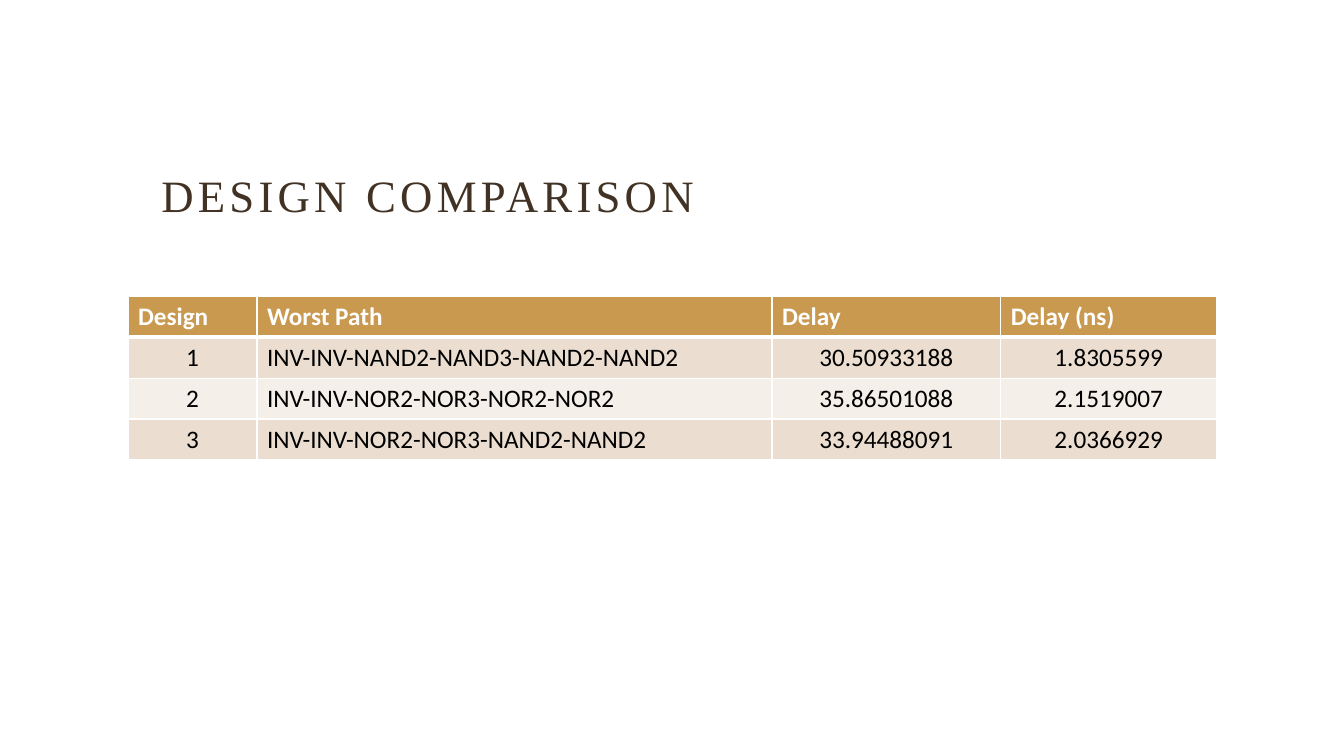
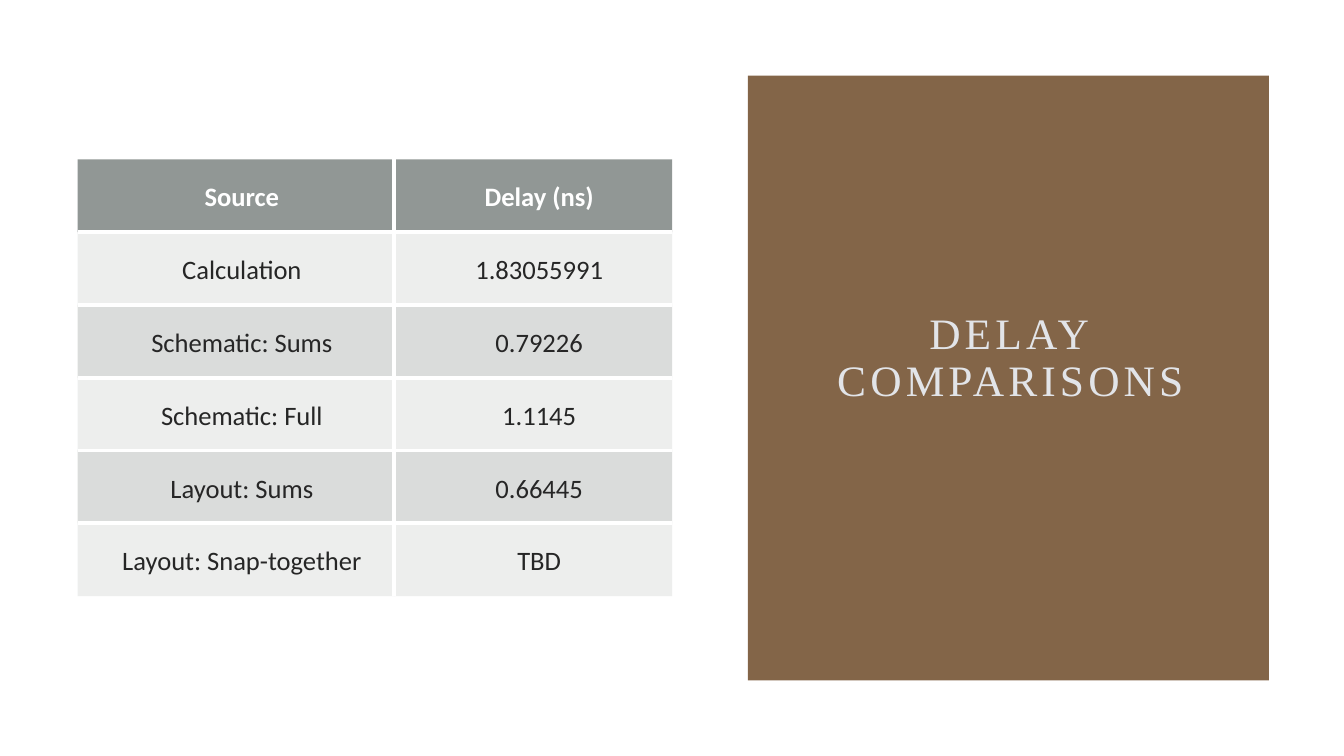
from dataclasses import dataclass

import lxml.etree
import pptx
import pptx.dml.color
import pptx.enum.shapes
import pptx.enum.text
import pptx.oxml.ns
import pptx.util

Pt = pptx.util.Pt
Align = pptx.enum.text.PP_ALIGN
Anchor = pptx.enum.text.MSO_ANCHOR

TITLE_FONT = "Times New Roman"
BODY_FONT = "Calibri"
WHITE = "FFFFFF"
BROWN = "836548"


@dataclass(frozen=True)
class Box:
    left: float
    top: float
    width: float
    height: float

    def lengths(self) -> tuple:
        return Pt(self.left), Pt(self.top), Pt(self.width), Pt(self.height)


@dataclass(frozen=True)
class Fill:
    color: str
    opacity: int = 100


@dataclass(frozen=True)
class Column:
    width: float
    align: Align
    header_align: Align
    anchor: Anchor
    header_anchor: Anchor
    insets: tuple
    header_insets: tuple


@dataclass(frozen=True)
class TableStyle:
    text_size: float
    text_color: str
    header_fill: Fill
    band_fills: tuple
    grid_width: float
    header_rule_width: float
    outer_width: float


def rgb(color: str) -> pptx.dml.color.RGBColor:
    return pptx.dml.color.RGBColor.from_string(color)


def write_text(frame, text: str, *, size: float, color: str, font: str = BODY_FONT,
               bold: bool = False, align: Align = Align.LEFT,
               line_spacing: float = 1.0, tracking: float = 0) -> None:
    paragraph = frame.paragraphs[0]
    paragraph.alignment = align
    paragraph.line_spacing = line_spacing
    paragraph.space_before = Pt(0)
    run = paragraph.add_run()
    run.text = text
    run.font.name = font
    run.font.size = Pt(size)
    run.font.bold = bold
    run.font.color.rgb = rgb(color)
    if tracking:
        run.font._element.set("spc", str(int(tracking * 100)))


def set_insets(target, insets: tuple) -> None:
    """Set the margins of a cell or text frame: left, top, right, bottom."""
    (target.margin_left, target.margin_top,
     target.margin_right, target.margin_bottom) = map(Pt, insets)


def add_title_slide(deck, title: str, box: Box, *, size: float, color: str,
                    align: Align = Align.LEFT, insets: tuple = (7.2, 3.6, 7.2, 3.6)):
    slide = deck.slides.add_slide(deck.slide_layouts[5])
    heading = slide.shapes.title
    heading.left, heading.top, heading.width, heading.height = box.lengths()
    frame = heading.text_frame
    frame.word_wrap = True
    frame.auto_size = pptx.enum.text.MSO_AUTO_SIZE.NONE
    frame.vertical_anchor = Anchor.BOTTOM
    set_insets(frame, insets)
    write_text(frame, title, size=size, color=color, font=TITLE_FONT, align=align,
               line_spacing=0.9, tracking=3)
    return slide


def add_back_panel(slide, box: Box, color: str) -> None:
    """Add a plain rectangle behind everything else on the slide."""
    panel = slide.shapes.add_shape(pptx.enum.shapes.MSO_SHAPE.RECTANGLE, *box.lengths())
    panel.shadow.inherit = False
    panel.fill.solid()
    panel.fill.fore_color.rgb = rgb(color)
    panel.line.fill.background()
    slide.shapes._spTree.insert(2, panel._element)


def fill_cell(cell, fill: Fill) -> None:
    cell.fill.solid()
    cell.fill.fore_color.rgb = rgb(fill.color)
    if fill.opacity < 100:
        tint = cell._tc.tcPr.find(".//" + pptx.oxml.ns.qn("a:srgbClr"))
        lxml.etree.SubElement(tint, pptx.oxml.ns.qn("a:alpha"), val=str(fill.opacity * 1000))


def set_borders(cell, widths: tuple) -> None:
    """Draw white borders: left, right, top, bottom; width 0 means no line."""
    properties = cell._tc.get_or_add_tcPr()
    for position, (edge, width) in enumerate(zip("LRTB", widths)):
        line = lxml.etree.Element(pptx.oxml.ns.qn(f"a:ln{edge}"), w=str(int(Pt(width))))
        if width:
            paint = lxml.etree.SubElement(line, pptx.oxml.ns.qn("a:solidFill"))
            lxml.etree.SubElement(paint, pptx.oxml.ns.qn("a:srgbClr"), val=WHITE)
        else:
            lxml.etree.SubElement(line, pptx.oxml.ns.qn("a:noFill"))
        properties.insert(position, line)


def add_data_table(slide, left: float, top: float, row_height: float,
                   columns: list, rows: list, style: TableStyle) -> None:
    box = Box(left, top, sum(column.width for column in columns), row_height * len(rows))
    table = slide.shapes.add_table(len(rows), len(columns), *box.lengths()).table
    for row in table.rows:
        row.height = Pt(row_height)

    row_rules = [style.outer_width, style.header_rule_width,
                 *[style.grid_width] * (len(rows) - 2), style.outer_width]
    column_rules = [style.outer_width, *[style.grid_width] * (len(columns) - 1),
                    style.outer_width]
    for c, column in enumerate(columns):
        table.columns[c].width = Pt(column.width)
        for r, values in enumerate(rows):
            header = r == 0
            cell = table.cell(r, c)
            cell.vertical_anchor = column.header_anchor if header else column.anchor
            set_insets(cell, column.header_insets if header else column.insets)
            fill_cell(cell, style.header_fill if header else style.band_fills[(r - 1) % 2])
            set_borders(cell, (*column_rules[c:c + 2], *row_rules[r:r + 2]))
            write_text(cell.text_frame, values[c], size=style.text_size, bold=header,
                       color=WHITE if header else style.text_color,
                       align=column.header_align if header else column.align)


def add_design_comparison(deck) -> None:
    slide = add_title_slide(deck, "DESIGN COMPARISON", Box(108, 54, 747.4, 108),
                            size=32, color="413224")
    normal, tight = (7.2, 3.6, 7.2, 3.6), (0.7, 0.7, 0.7, 0)

    def label(width: float, align: Align) -> Column:
        return Column(width, align, Align.LEFT, Anchor.TOP, Anchor.TOP, normal, normal)

    def figure(width: float) -> Column:
        return Column(width, Align.CENTER, Align.LEFT, Anchor.MIDDLE, Anchor.TOP,
                      tight, normal)

    add_data_table(
        slide, 91.4, 211.7, 29.2,
        [label(92.2, Align.CENTER), label(367.9, Align.LEFT), figure(163.4), figure(154.1)],
        [("Design", "Worst Path", "Delay", "Delay (ns)"),
         ("1", "INV-INV-NAND2-NAND3-NAND2-NAND2", "30.50933188", "1.8305599"),
         ("2", "INV-INV-NOR2-NOR3-NOR2-NOR2", "35.86501088", "2.1519007"),
         ("3", "INV-INV-NOR2-NOR3-NAND2-NAND2", "33.94488091", "2.0366929")],
        TableStyle(18, "000000", Fill("C9994F"), (Fill("EBDED0"), Fill("F5EFE9")),
                   grid_width=1, header_rule_width=3, outer_width=1))


def add_delay_comparisons(deck) -> None:
    slide = add_title_slide(deck, "DELAY COMPARISONS", Box(588.2, 108, 267.1, 185.8),
                            size=31, color="E2E4E8", align=Align.CENTER,
                            insets=(3.6, 3.6, 3.6, 3.6))
    add_back_panel(slide, Box(534.2, 54, 372.2, 432), BROWN)
    roomy = (21.6, 13, 13, 13)
    columns = [Column(width, Align.CENTER, Align.CENTER, Anchor.BOTTOM, Anchor.BOTTOM,
                      roomy, roomy) for width in (226.1, 198.7)]
    add_data_table(
        slide, 55.4, 113.8, 52, columns,
        [("Source", "Delay (ns)"),
         ("Calculation", "1.83055991"),
         ("Schematic: Sums", "0.79226"),
         ("Schematic: Full", "1.1145"),
         ("Layout: Sums", "0.66445"),
         ("Layout: Snap-together", "TBD")],
        TableStyle(19, "262626", Fill("636B68", 70),
                   (Fill("878E8B", 15), Fill("878E8B", 30)),
                   grid_width=3, header_rule_width=3, outer_width=0))


def main() -> None:
    deck = pptx.Presentation()
    deck.slide_width, deck.slide_height = Pt(960), Pt(540)
    add_design_comparison(deck)
    add_delay_comparisons(deck)
    deck.save("out.pptx")


if __name__ == "__main__":
    main()
